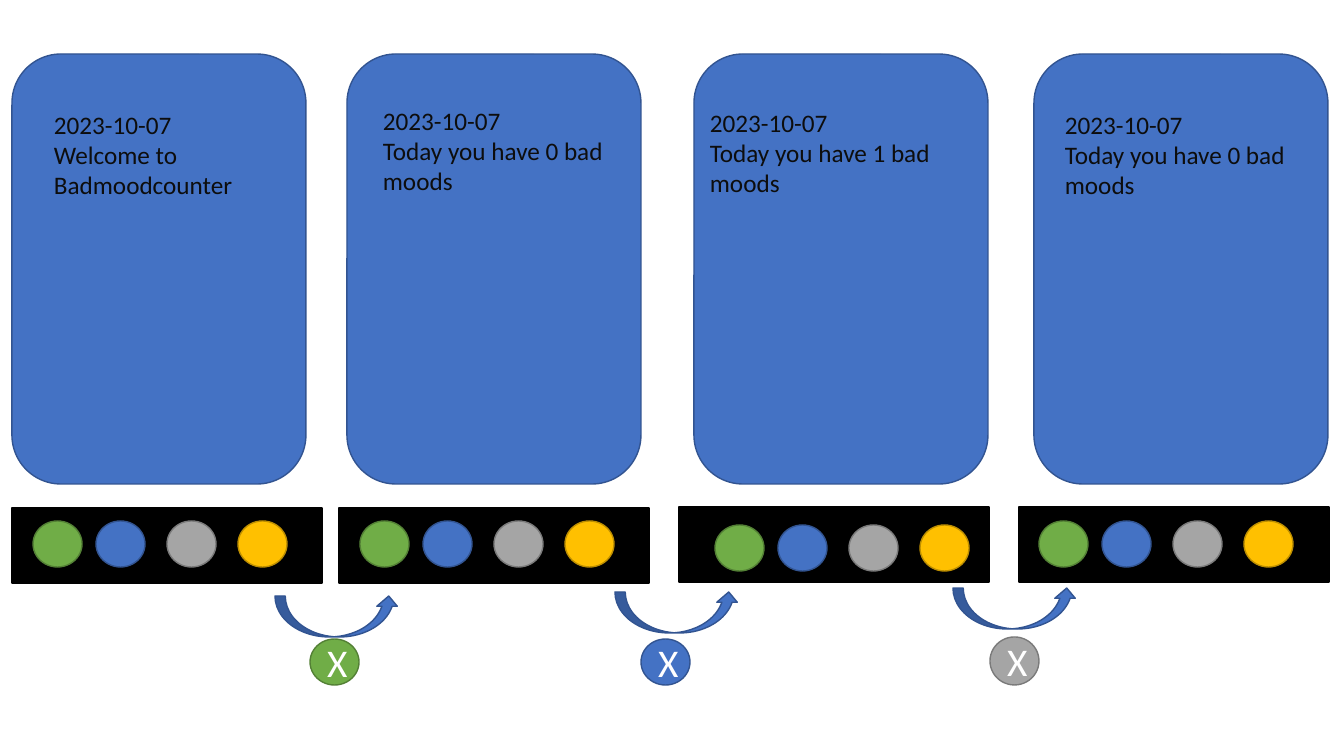
from pptx import Presentation
from pptx import util as u
from pptx.dml.color import RGBColor
from pptx.enum import shapes, text

PX = 12192000 / 1344
THEME = {
    "font": "Calibri", "body": 18, "mark": 28, "ink": "0D0D0D", "white": "FFFFFF",
    "black": ("000000", "000000"),
    "green": ("70AD47", "538035"),
    "blue": ("4472C4", "325491"),
    "gray": ("A5A5A5", "7A7A7A"),
    "gold": ("FFC000", "BD8E00"),
}
SHAPE = shapes.MSO_SHAPE


def px(*values):
    return [u.Emu(round(v * PX)) for v in values]


def add_shape(kind, x, y, w, h, colour):
    sp = s.shapes.add_shape(kind, *px(x, y, w, h))
    fill, line = THEME[colour]
    sp.shadow.inherit = False
    sp.fill.solid()
    sp.fill.fore_color.rgb = RGBColor.from_string(fill)
    sp.line.color.rgb = RGBColor.from_string(line)
    sp.line.width = u.Pt(1)
    return sp


prs = Presentation()
prs.slide_width, prs.slide_height = px(1344, 756)
s = prs.slides.add_slide(prs.slide_layouts[6])

screens = [
    (12, (12, 508), (33, 521), (44, 104), "Welcome to Badmoodcounter"),
    (347, (339, 508), (360, 521), (373, 100), "Today you have 0 bad moods"),
    (694, (679, 507), (715, 525), (700, 102), "Today you have 1 bad moods"),
    (1034, (1019, 507), (1039, 521), (1055, 104), "Today you have 0 bad moods"),
]
lights = [(0, "green"), (63, "blue"), (134, "gray"), (205, "gold")]

for screen_x, bar, light, label, message in screens:
    add_shape(SHAPE.ROUNDED_RECTANGLE, screen_x, 54, 294, 430, "blue")
    add_shape(SHAPE.RECTANGLE, *bar, 310, 75, "black")
    for dx, colour in lights:
        add_shape(SHAPE.OVAL, light[0] + dx, light[1], 49, 46, colour)

    tf = s.shapes.add_textbox(*px(*label, 245, 106)).text_frame
    tf.word_wrap = True
    tf.text = f"2023-10-07\n{message}"
    for p in tf.paragraphs:
        p.font.name = THEME["font"]
        p.font.size = u.Pt(THEME["body"])
        p.font.color.rgb = RGBColor.from_string(THEME["ink"])

presses = [
    ((310, 639, 49, 46), (275, 596), "green"),
    ((641, 639, 49, 46), (615, 592), "blue"),
    ((990, 637, 49, 48), (953, 588), "gray"),
]
for button, arrow, colour in presses:
    sp = add_shape(SHAPE.OVAL, *button, colour)
    tf = sp.text_frame
    tf.text = "X"
    tf.vertical_anchor = text.MSO_ANCHOR.MIDDLE
    p = tf.paragraphs[0]
    p.alignment = text.PP_ALIGN.CENTER
    p.font.name = THEME["font"]
    p.font.size = u.Pt(THEME["mark"])
    p.font.color.rgb = RGBColor.from_string(THEME["white"])
    add_shape(SHAPE.CURVED_UP_ARROW, *arrow, 124, 41, "blue")

prs.save("out.pptx")
